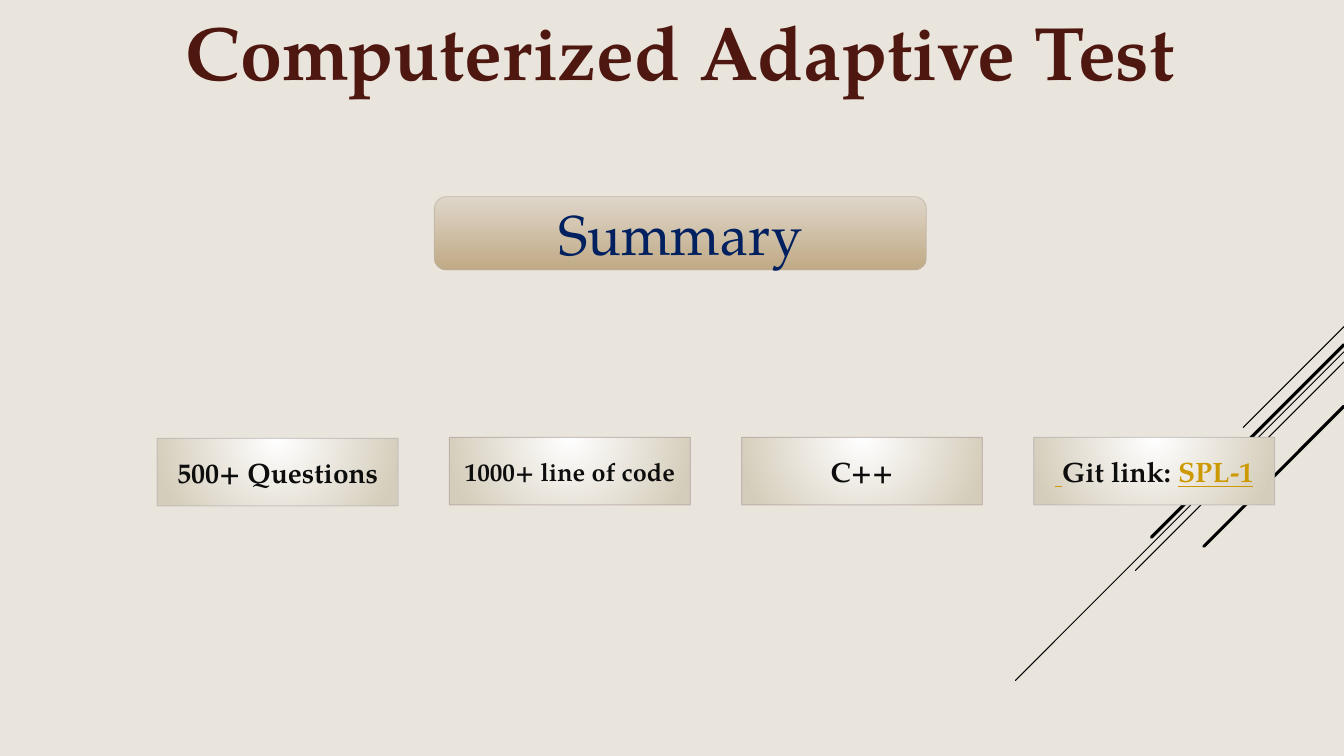
from dataclasses import dataclass

from lxml import etree
from pptx import Presentation
from pptx.dml.color import RGBColor
from pptx.enum.shapes import MSO_CONNECTOR, MSO_SHAPE
from pptx.enum.text import MSO_ANCHOR, MSO_AUTO_SIZE, PP_ALIGN
from pptx.oxml.ns import qn
from pptx.shapes.autoshape import Shape
from pptx.slide import Slide
from pptx.text.text import _Run
from pptx.util import Pt

STRAIGHT = MSO_CONNECTOR.STRAIGHT
RECTANGLE, ROUNDED = MSO_SHAPE.RECTANGLE, MSO_SHAPE.ROUNDED_RECTANGLE
TOP, MIDDLE = MSO_ANCHOR.TOP, MSO_ANCHOR.MIDDLE
LEFT, CENTER = PP_ALIGN.LEFT, PP_ALIGN.CENTER
GROW = MSO_AUTO_SIZE.SHAPE_TO_FIT_TEXT
TITLE_ONLY_LAYOUT = 5

SLIDE_WIDTH, SLIDE_HEIGHT = 960, 540
CARD_LEFT, CARD_PITCH = 112.3, 208.7
CARD_WIDTH, CARD_HEIGHT = 172.1, 48.2


@dataclass(frozen=True)
class Theme:
    font: str = "TeX Gyre Pagella"
    background: str = "E9E5DC"
    title: str = "4E1710"
    summary: str = "002060"
    ink: str = "0D0D0D"
    link: str = "CC9900"
    streak: str = "000000"
    banner_fill: tuple[str, str] = ("DFD6CA", "C0AA86")
    card_fill: tuple[str, str] = ("FFFFFF", "D5CDBB")
    banner_line: str = "BEB1A0"
    outer_line: str = "B4ADB0"
    inner_line: str = "AD9A9A"
    title_size: float = 54
    summary_size: float = 40
    card_size: float = 20
    small_size: float = 18


THEME = Theme()


@dataclass(frozen=True)
class Streak:
    """A 45 degree line falling leftwards from the slide's right edge."""
    top: float
    run: float
    weight: float = 0.75


@dataclass(frozen=True)
class Piece:
    text: str
    color: str = THEME.ink
    underline: bool = False


@dataclass(frozen=True)
class Card:
    pieces: tuple[Piece, ...]
    line: str
    top: float = 312.5
    size: float = THEME.card_size


STREAKS = (
    Streak(233.3, 72),
    Streak(251.3, 234.7),
    Streak(258.5, 149),
    Streak(246.2, 137.5, 2.25),
    Streak(290.2, 100.1, 2.25),
)

CARDS = (
    Card((Piece("500+ Questions"),), THEME.outer_line, top=313.2),
    Card((Piece("1000+ line of code"),), THEME.inner_line, size=THEME.small_size),
    Card((Piece("C++"),), THEME.inner_line),
    Card((Piece(" ", THEME.link, True), Piece("Git link: "),
          Piece("SPL-1", THEME.link, True)), THEME.outer_line),
)


def color(value: str) -> RGBColor:
    return RGBColor.from_string(value)


def format_run(run: _Run, size: float, ink: str, bold: bool = False) -> None:
    run.font.name = THEME.font
    run.font.size = Pt(size)
    run.font.bold = bold
    run.font.color.rgb = color(ink)


def add_streaks(slide: Slide) -> None:
    group = slide.shapes.add_group_shape()
    for streak in STREAKS:
        connector = group.shapes.add_connector(
            STRAIGHT, Pt(SLIDE_WIDTH), Pt(streak.top),
            Pt(SLIDE_WIDTH - streak.run), Pt(streak.top + streak.run))
        connector.line.color.rgb = color(THEME.streak)
        connector.line.width = Pt(streak.weight)
        properties = connector._element.spPr
        properties.find(qn("a:ln")).set("cap", "rnd")
        etree.SubElement(properties, qn("a:effectLst"))


def add_title(slide: Slide) -> None:
    title = slide.shapes.title
    title.left, title.top = Pt(125.3), Pt(0)
    title.width, title.height = Pt(834.7), Pt(72.7)
    frame = title.text_frame
    frame.text = "Computerized Adaptive Test"
    frame.word_wrap = True
    frame.auto_size = GROW
    frame.vertical_anchor = TOP
    paragraph = frame.paragraphs[0]
    paragraph.alignment = LEFT
    format_run(paragraph.runs[0], THEME.title_size, THEME.title, bold=True)


def add_panel(slide: Slide, kind: MSO_SHAPE, box: tuple[float, float, float, float],
              fill: tuple[str, str], line: str) -> Shape:
    """Add a box with a downward gradient and a thin 60 % opaque outline."""
    shape = slide.shapes.add_shape(kind, *(Pt(length) for length in box))
    shape.shadow.inherit = False
    shape.fill.gradient()
    shape.fill.gradient_angle = 270
    for stop, position, value in zip(shape.fill.gradient_stops, (0, 1), fill):
        stop.position = position
        stop.color.rgb = color(value)
    shape.line.color.rgb = color(line)
    shape.line.width = Pt(0.75)
    line_color = shape._element.spPr.find(qn("a:ln")).find(".//" + qn("a:srgbClr"))
    etree.SubElement(line_color, qn("a:alpha"), val="60000")
    shape.text_frame.word_wrap = True
    shape.text_frame.vertical_anchor = MIDDLE
    shape.text_frame.paragraphs[0].alignment = CENTER
    return shape


def make_gradient_radial(shape: Shape) -> None:
    """Let the gradient spread in circles from the middle of the top edge."""
    gradient = shape._element.spPr.find(qn("a:gradFill"))
    circle = etree.Element(qn("a:path"), path="circle")
    etree.SubElement(circle, qn("a:fillToRect"), l="0", t="0", r="0", b="100000")
    gradient.replace(gradient.find(qn("a:lin")), circle)


def add_banner(slide: Slide) -> None:
    banner = add_panel(slide, ROUNDED, (310.3, 140.4, 351.4, 52.4),
                       THEME.banner_fill, THEME.banner_line)
    paragraph = banner.text_frame.paragraphs[0]
    paragraph.text = "Summary"
    format_run(paragraph.runs[0], THEME.summary_size, THEME.summary)


def add_cards(slide: Slide) -> None:
    for index, card in enumerate(CARDS):
        box = (CARD_LEFT + index * CARD_PITCH, card.top, CARD_WIDTH, CARD_HEIGHT)
        shape = add_panel(slide, RECTANGLE, box, THEME.card_fill, card.line)
        make_gradient_radial(shape)
        for piece in card.pieces:
            run = shape.text_frame.paragraphs[0].add_run()
            run.text = piece.text
            format_run(run, card.size, piece.color, bold=True)
            run.font.underline = piece.underline


def main() -> None:
    presentation = Presentation()
    presentation.slide_width, presentation.slide_height = Pt(SLIDE_WIDTH), Pt(SLIDE_HEIGHT)
    slide = presentation.slides.add_slide(presentation.slide_layouts[TITLE_ONLY_LAYOUT])
    slide.background.fill.solid()
    slide.background.fill.fore_color.rgb = color(THEME.background)
    add_streaks(slide)
    add_title(slide)
    add_banner(slide)
    add_cards(slide)
    presentation.save("out.pptx")


if __name__ == "__main__":
    main()
